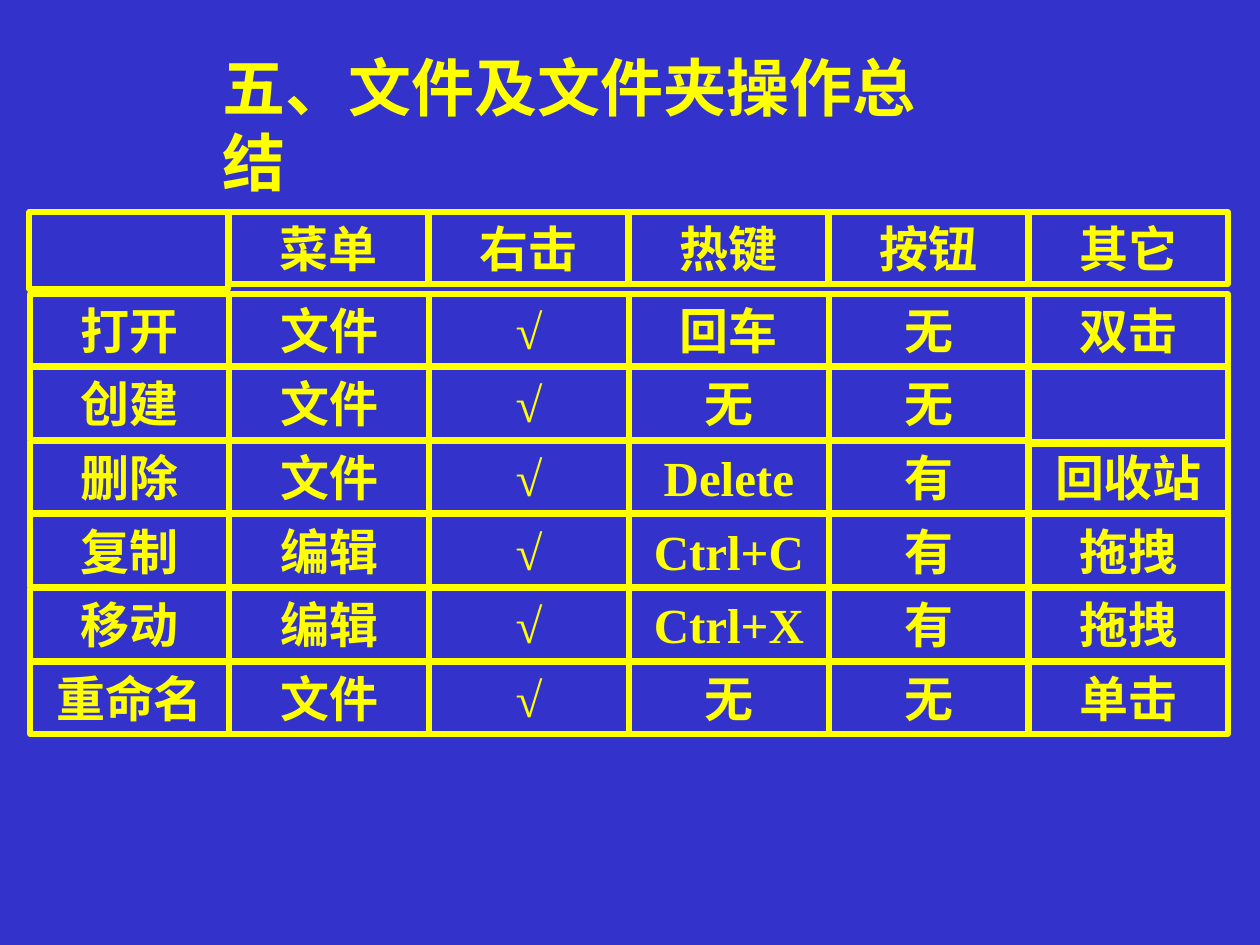
from pptx import Presentation
from pptx.dml.color import RGBColor
from pptx.enum.shapes import MSO_SHAPE as SHAPE
from pptx.enum.text import MSO_ANCHOR as ANCHOR, MSO_AUTO_SIZE as AUTO, PP_ALIGN as ALIGN
from pptx.util import Inches, Pt

PX = Inches(1) // 126
FONT = "Times New Roman"
COLORS = {"background": "3333CC", "yellow": "FFFF00"}

HEADERS = ["", "菜单", "右击", "热键", "按钮", "其它"]
OPERATIONS = [
    ["打开", "文件", "√", "回车", "无", "双击"],
    ["创建", "文件", "√", "无", "无", ""],
    ["删除", "文件", "√", "Delete", "有", "回收站"],
    ["复制", "编辑", "√", "Ctrl+C", "有", "拖拽"],
    ["移动", "编辑", "√", "Ctrl+X", "有", "拖拽"],
    ["重命名", "文件", "√", "无", "无", "单击"],
]
CELL_W, CELL_H, BLANK_H = 199, 72, 77


def color(name):
    return RGBColor.from_string(COLORS[name])


def px(*lengths):
    return [round(length * PX) for length in lengths]


def write(sp, text, size, align=ALIGN.LEFT, before=0, wrap=True):
    tf = sp.text_frame
    tf.word_wrap = wrap
    tf.auto_size = AUTO.SHAPE_TO_FIT_TEXT
    tf.vertical_anchor = ANCHOR.TOP
    p = tf.paragraphs[0]
    p.alignment = align
    p.space_before = Pt(before)
    r = p.add_run()
    r.text = text
    r.font.name = FONT
    r.font.size = Pt(size)
    r.font.bold = True
    r.font.color.rgb = color("yellow")


def add_title(s, text, x, y, w, h):
    sp = s.shapes.title
    sp.left, sp.top, sp.width, sp.height = px(x, y, w, h)
    write(sp, text, 36, wrap=False)


def add_cell(s, text, x, y):
    """Outlined box; a blank one is slightly taller."""
    h = CELL_H if text else BLANK_H
    sp = s.shapes.add_shape(SHAPE.RECTANGLE, *px(x, y, CELL_W, h))
    sp.shadow.inherit = False
    sp.fill.background()
    sp.line.color.rgb = color("yellow")
    sp.line.width = Pt(3)
    if text:
        write(sp, text, 28, align=ALIGN.CENTER, before=17.5)


def add_grid(s, rows, x, y, w, h):
    """Cells spread evenly so that the last ones end at the box's far edges."""
    col_step = (w - CELL_W) / (len(rows[0]) - 1)
    row_step = (h - CELL_H) / max(len(rows) - 1, 1)
    for i, row in enumerate(rows):
        for j, text in enumerate(row):
            add_cell(s, text, x + j * col_step, y + i * row_step)


def main():
    prs = Presentation()
    prs.slide_width, prs.slide_height = px(1260, 945)
    s = prs.slides.add_slide(prs.slide_layouts[5])
    s.background.fill.solid()
    s.background.fill.fore_color.rgb = color("background")
    add_title(s, "五、文件及文件夹操作总结", 210, 42, 781, 88)
    add_grid(s, OPERATIONS, 30, 294, 1198, 440)
    add_grid(s, [HEADERS], 29, 212, 1199, CELL_H)
    prs.save("out.pptx")


if __name__ == "__main__":
    main()
